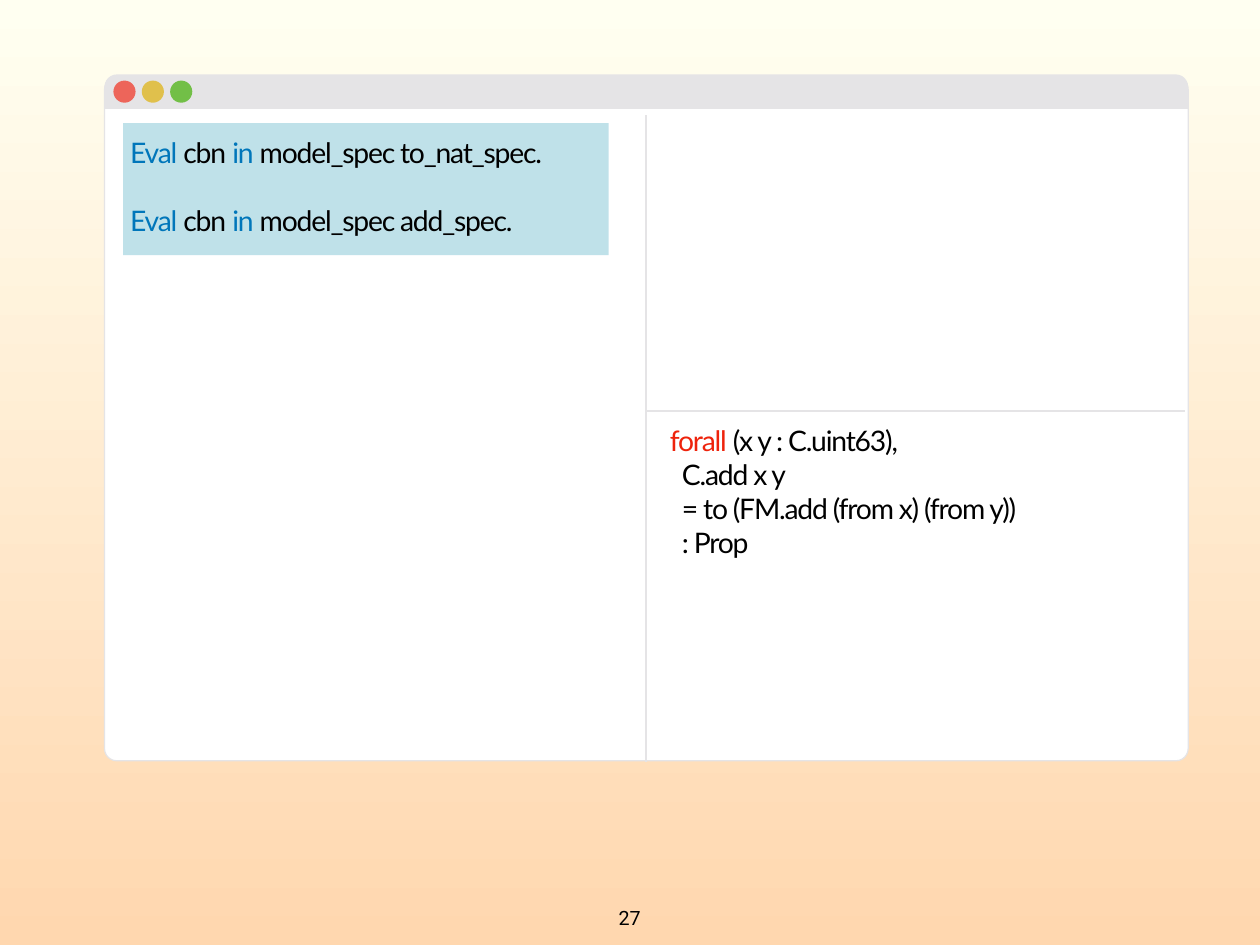
from dataclasses import dataclass

from lxml import etree
from pptx import Presentation
from pptx.dml.color import RGBColor
from pptx.enum.shapes import MSO_CONNECTOR, MSO_SHAPE
from pptx.enum.text import MSO_AUTO_SIZE, PP_ALIGN
from pptx.oxml.ns import qn
from pptx.slide import Slide
from pptx.util import Inches, Pt

ROUND = MSO_SHAPE.ROUNDED_RECTANGLE
RECT = MSO_SHAPE.RECTANGLE
OVAL = MSO_SHAPE.OVAL
LINE = MSO_CONNECTOR.STRAIGHT
LEFT, CENTER = PP_ALIGN.LEFT, PP_ALIGN.CENTER
FIT = MSO_AUTO_SIZE.SHAPE_TO_FIT_TEXT

Box = tuple[float, float, float, float]
Runs = list[tuple[str, str]]


@dataclass(frozen=True)
class Theme:
    top: str = "FFFFF1"
    base: str = "FFD7AF"
    pane: str = "FFFFFF"
    frame: str = "E5E4E6"
    mark: str = "54AFC5"
    ink: str = "000000"
    blue: str = "0076BA"
    red: str = "EE230C"
    lights: tuple[str, ...] = ("ED655A", "E0C04C", "72BF47")
    code_font: str = "Lato"
    page_font: str = "Roboto"
    code_size: float = 23
    page_size: float = 16
    rule: float = 2
    edge: float = 1
    tight: int = -100  # hundredths of a point
    gap: float = 27.6


@dataclass(frozen=True)
class Panel:
    kind: int
    box: Box
    fill: str
    adj: float | None = None
    line: str | None = None
    alpha: int | None = None


@dataclass(frozen=True)
class Label:
    box: Box
    lines: list[Runs]
    font: str
    size: float
    space: int = 0
    gap: float = 0
    align: int = LEFT
    wrap: bool = True


T = Theme()


def draw_panel(slide: Slide, panel: Panel) -> None:
    shape = slide.shapes.add_shape(panel.kind, *map(Inches, panel.box))
    shape.shadow.inherit = False
    shape.fill.solid()
    shape.fill.fore_color.rgb = RGBColor.from_string(panel.fill)
    if panel.adj is not None:
        shape.adjustments[0] = panel.adj
    if panel.line:
        shape.line.color.rgb = RGBColor.from_string(panel.line)
        shape.line.width = Pt(T.edge)
    else:
        shape.line.fill.background()
    if panel.alpha is not None:
        color = shape.fill._xPr.find(".//" + qn("a:srgbClr"))
        etree.SubElement(color, qn("a:alpha"), val=str(panel.alpha * 1000))


def draw_rule(slide: Slide, ends: Box) -> None:
    rule = slide.shapes.add_connector(LINE, *map(Inches, ends))
    rule.line.color.rgb = RGBColor.from_string(T.frame)
    rule.line.width = Pt(T.rule)
    etree.SubElement(rule._element.spPr, qn("a:effectLst"))


def draw_label(slide: Slide, label: Label) -> None:
    frame = slide.shapes.add_textbox(*map(Inches, label.box)).text_frame
    pad = Inches(0.06)
    look = {"margin_left": pad, "margin_right": pad, "margin_top": pad,
            "margin_bottom": pad, "word_wrap": label.wrap, "auto_size": FIT}
    for name, value in look.items():
        setattr(frame, name, value)
    for i, runs in enumerate(label.lines):
        para = frame.add_paragraph() if i else frame.paragraphs[0]
        para.alignment = label.align
        if i and label.gap:
            para.space_before = Pt(label.gap)
        for text, color in runs:
            run = para.add_run()
            run.text = text
            for name, value in {"name": label.font, "size": Pt(label.size)}.items():
                setattr(run.font, name, value)
            run.font.color.rgb = RGBColor.from_string(color)
            if label.space:
                run.font._element.set("spc", str(label.space))


def eval_line(spec: str) -> Runs:
    return [("Eval ", T.blue), ("cbn ", T.ink), ("in ", T.blue),
            (f"model_spec {spec}.", T.ink)]


def main() -> None:
    deck = Presentation()
    deck.slide_width, deck.slide_height = Inches(14.22), Inches(10.67)
    slide = deck.slides.add_slide(deck.slide_layouts[6])

    # Background
    fill = slide.background.fill
    fill.gradient()
    fill.gradient_angle = 270
    for stop, color in zip(fill.gradient_stops, (T.top, T.base)):
        stop.color.rgb = RGBColor.from_string(color)

    # Window and title bar
    for panel in (
        Panel(ROUND, (1.18, 0.87, 12.23, 7.72), T.pane, 0.018, T.frame),
        Panel(ROUND, (1.18, 0.84, 12.23, 0.38), T.frame, 0.366),
        Panel(RECT, (1.18, 1.04, 12.23, 0.19), T.frame),
    ):
        draw_panel(slide, panel)

    # Pane dividers
    for ends in ((7.29, 8.6, 7.29, 1.3), (13.37, 4.64, 7.28, 4.64)):
        draw_rule(slide, ends)

    # Window buttons
    for i, color in enumerate(T.lights):
        draw_panel(slide, Panel(OVAL, (1.28 + 0.32 * i, 0.91, 0.25, 0.25), color))

    # Output pane
    output = [[("forall", T.red), (" (x y : C.uint63),", T.ink)]]
    output += [[(text, T.ink)] for text in (
        "  C.add x y", "  = to (FM.add (from x) (from y))", "  : Prop")]
    draw_label(slide, Label((7.5, 4.72, 5.71, 1.66), output,
                            T.code_font, T.code_size, T.tight))

    # Marked source code
    draw_panel(slide, Panel(RECT, (1.39, 1.39, 5.48, 1.49), T.mark, alpha=37))
    source = [eval_line(spec) for spec in ("to_nat_spec", "add_spec")]
    draw_label(slide, Label((1.41, 1.47, 5.69, 1.27), source,
                            T.code_font, T.code_size, T.tight, T.gap))

    # Page number
    draw_label(slide, Label((6.92, 10.17, 0.37, 0.38), [[("27", T.ink)]],
                            T.page_font, T.page_size, align=CENTER, wrap=False))

    deck.save("out.pptx")


if __name__ == "__main__":
    main()
